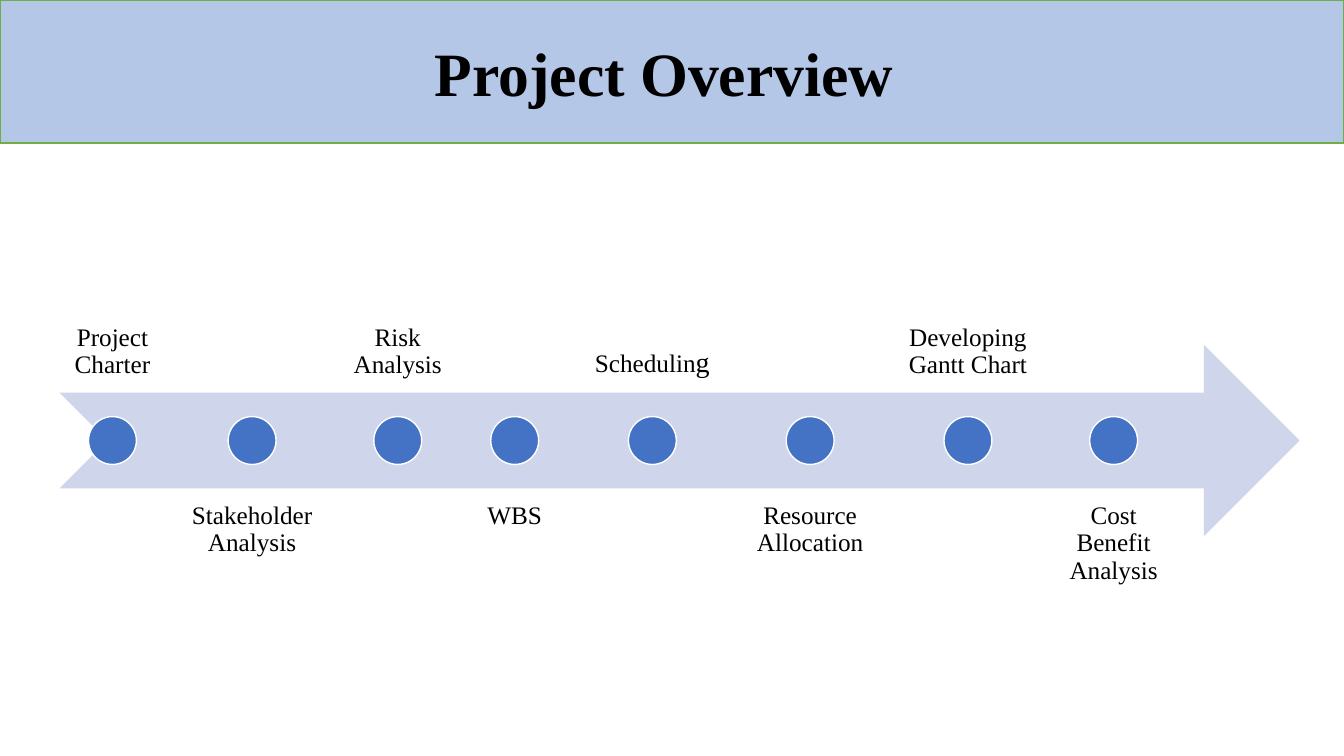
from pptx import Presentation
from pptx.dml.color import RGBColor
from pptx.enum.shapes import MSO_SHAPE
from pptx.enum.text import MSO_ANCHOR, MSO_AUTO_SIZE, PP_ALIGN
from pptx.util import Inches, Pt

ARROW, CIRCLE = MSO_SHAPE.NOTCHED_RIGHT_ARROW, MSO_SHAPE.OVAL
TOP, MIDDLE, BOTTOM = MSO_ANCHOR.TOP, MSO_ANCHOR.MIDDLE, MSO_ANCHOR.BOTTOM
CENTER = PP_ALIGN.CENTER
NO_AUTOFIT = MSO_AUTO_SIZE.NONE
TITLE_ONLY = 5

BLACK = RGBColor(0x00, 0x00, 0x00)
WHITE = RGBColor(0xFF, 0xFF, 0xFF)
BANNER_BLUE = RGBColor(0xB4, 0xC7, 0xE7)
BANNER_GREEN = RGBColor(0x70, 0xAD, 0x47)
ARROW_BLUE = RGBColor(0xCF, 0xD5, 0xEA)
DOT_BLUE = RGBColor(0x44, 0x72, 0xC4)
FONT = "Times New Roman"

SLIDE_WIDTH, SLIDE_HEIGHT = 13.33, 7.5
BANNER_HEIGHT = 1.42
ARROW_LEFT, ARROW_TOP = 0.59, 3.42
ARROW_WIDTH, ARROW_HEIGHT = 12.3, 1.9
ARROW_MIDDLE = ARROW_TOP + ARROW_HEIGHT / 2
DOT_SIZE = ARROW_HEIGHT / 4
LABEL_TOPS = (2, 4.85)
LABEL_ANCHORS = (BOTTOM, TOP)
LABEL_GAP = 0.05
LABEL_INSET = 0.14

# Each step: label width and its (text, size) runs; labels alternate above and below
STEPS = [
    (1.05, [("Project Charter ", 18)]),
    (1.62, [("Stakeholder Analysis", 18)]),
    (1.17, [("Risk Analysis", 18)]),
    (1.05, [("WBS", 18)]),
    (1.58, [("Schedulin", 18), ("g", 20)]),
    (1.45, [("Resource Allocation", 18)]),
    (1.58, [("Developing Gantt Chart", 18)]),
    (1.21, [("Cost Benefit Analysis", 18)]),
]


def write_runs(paragraph, runs, line_spacing, bold=False):
    paragraph.alignment = CENTER
    paragraph.line_spacing = line_spacing
    for text, size in runs:
        run = paragraph.add_run()
        run.text = text
        run.font.name = FONT
        run.font.size = Pt(size)
        run.font.bold = bold
        run.font.color.rgb = BLACK


def paint(shape, fill, line=None):
    shape.fill.solid()
    shape.fill.fore_color.rgb = fill
    if line is None:
        shape.line.fill.background()
    else:
        shape.line.color.rgb = line
        shape.line.width = Pt(1)


def format_title(title):
    title.left = title.top = 0
    title.width, title.height = Inches(SLIDE_WIDTH), Inches(BANNER_HEIGHT)
    paint(title, BANNER_BLUE, BANNER_GREEN)
    frame = title.text_frame
    frame.auto_size = NO_AUTOFIT
    frame.vertical_anchor = MIDDLE
    write_runs(frame.paragraphs[0], [("Project Overview ", 44)], 1.0, bold=True)


def add_painted_shape(slide, kind, left, top, width, height, fill, line=None):
    shape = slide.shapes.add_shape(
        kind, Inches(left), Inches(top), Inches(width), Inches(height))
    shape.shadow.inherit = False
    paint(shape, fill, line)


def add_label(slide, left, top, width, anchor, runs):
    label = slide.shapes.add_textbox(
        Inches(left), Inches(top), Inches(width), Inches(ARROW_HEIGHT))
    frame = label.text_frame
    frame.word_wrap = True
    frame.vertical_anchor = anchor
    frame.margin_left = frame.margin_right = Inches(LABEL_INSET)
    frame.margin_top = frame.margin_bottom = Inches(LABEL_INSET)
    write_runs(frame.paragraphs[0], runs, 0.9)


def add_timeline(slide):
    add_painted_shape(slide, ARROW, ARROW_LEFT, ARROW_TOP,
                      ARROW_WIDTH, ARROW_HEIGHT, ARROW_BLUE)
    left = ARROW_LEFT
    for index, (width, runs) in enumerate(STEPS):
        side = index % 2
        add_label(slide, left, LABEL_TOPS[side], width, LABEL_ANCHORS[side], runs)
        add_painted_shape(slide, CIRCLE, left + (width - DOT_SIZE) / 2,
                          ARROW_MIDDLE - DOT_SIZE / 2, DOT_SIZE, DOT_SIZE,
                          DOT_BLUE, WHITE)
        left += width + LABEL_GAP


def main():
    presentation = Presentation()
    presentation.slide_width = Inches(SLIDE_WIDTH)
    presentation.slide_height = Inches(SLIDE_HEIGHT)
    slide = presentation.slides.add_slide(presentation.slide_layouts[TITLE_ONLY])
    format_title(slide.shapes.title)
    add_timeline(slide)
    presentation.save("out.pptx")


if __name__ == "__main__":
    main()
